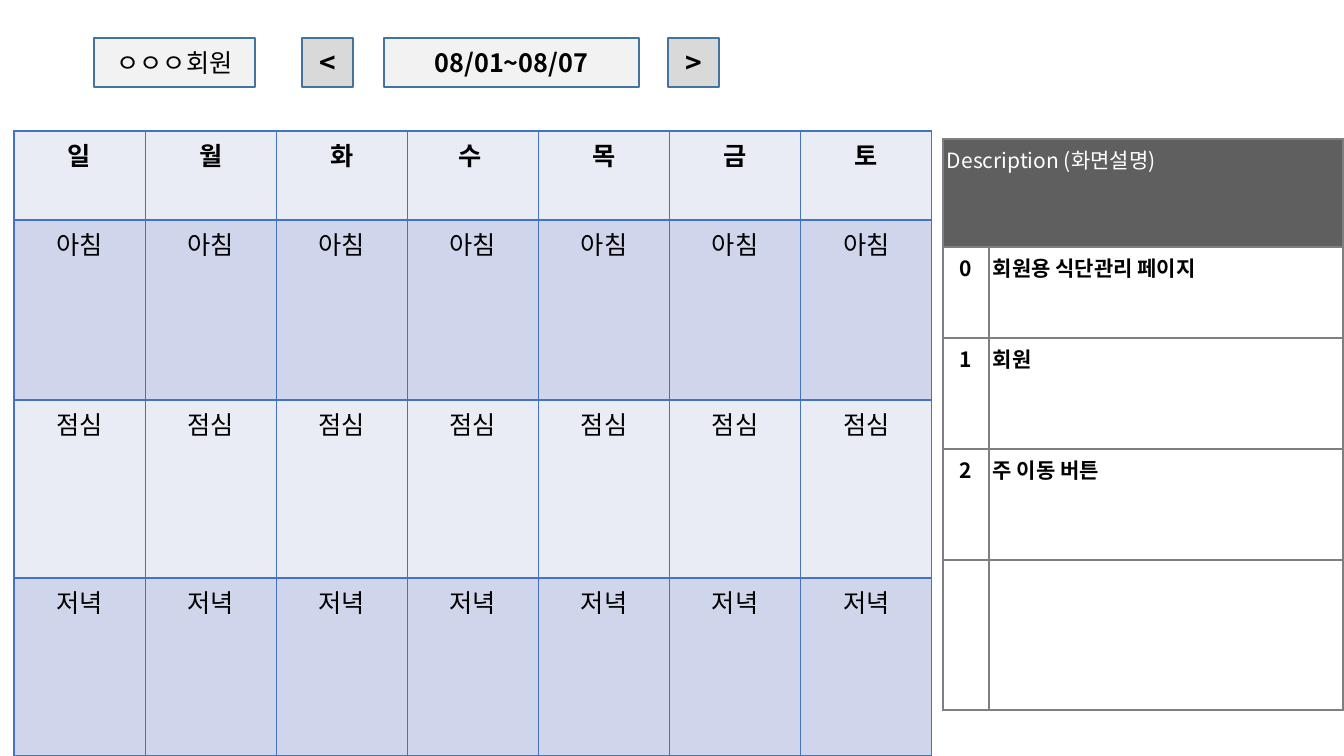
from lxml.etree import SubElement as Sub
from pptx import Presentation
from pptx.dml.color import RGBColor
from pptx.enum.shapes import MSO_SHAPE as Shape
from pptx.enum.text import MSO_ANCHOR as Anchor, PP_ALIGN as Align
from pptx.oxml.ns import qn
from pptx.util import Pt

SCALE = 914400 / 100.8


def px(n):
    return round(n * SCALE)


def color(code):
    return RGBColor.from_string(code)


class Board:
    face = "Noto Sans CJK KR"
    edge = "43739E"

    def __init__(self, deck):
        self.slide = deck.slides.add_slide(deck.slide_layouts[6])

    def label(self, frame, text, size, ink="000000", bold=False, align=Align.CENTER):
        par = frame.paragraphs[0]
        par.alignment = align
        run = par.add_run()
        run.text = text
        style = {"name": self.face, "size": Pt(size), "bold": bold}
        for key, val in style.items():
            setattr(run.font, key, val)
        run.font.color.rgb = color(ink)
        Sub(run.font._element, qn("a:ea"), typeface=self.face)

    def box(self, left, width, text, fill, size=18, bold=True):
        shape = self.slide.shapes.add_shape(
            Shape.RECTANGLE, px(left), px(38), px(width), px(49))
        shape.shadow.inherit = False
        shape.fill.solid()
        shape.fill.fore_color.rgb = color(fill)
        shape.line.color.rgb = color(self.edge)
        shape.line.width = Pt(1)
        shape.text_frame.vertical_anchor = Anchor.MIDDLE
        self.label(shape.text_frame, text, size, bold=bold)

    def table(self, left, top, width, rows, count):
        frame = self.slide.shapes.add_table(
            len(rows), count, px(left), px(top), px(width), px(sum(rows)))
        grid = frame.table
        for key in ("first_row", "horz_banding"):
            setattr(grid, key, False)
        for row, high in zip(grid.rows, rows):
            row.height = px(high)
        return grid

    def cell(self, cell, line, fill=None):
        props = cell._tc.get_or_add_tcPr()
        for side in "LRTB":
            rule = Sub(props, qn(f"a:ln{side}"), w=str(Pt(1)))
            Sub(Sub(rule, qn("a:solidFill")), qn("a:srgbClr"), val=line)
        if fill:
            cell.fill.solid()
            cell.fill.fore_color.rgb = color(fill)
        else:
            cell.fill.background()

    def notes(self, title, items):
        grid = self.table(943, 139, 400, [108, 91, 111, 111, 150], 2)
        for col, wide in zip(grid.columns, (46, 354)):
            col.width = px(wide)
        grid.cell(0, 0).merge(grid.cell(0, 1))
        pads = {"margin_left": 4, "margin_right": 4,
                "margin_top": 5, "margin_bottom": 5}
        for i, row in enumerate(grid.rows):
            for j, cell in enumerate(row.cells):
                fill = "5F5F5F" if i == 0 else None if j else "FFFFFF"
                self.cell(cell, "7F7F7F", fill)
                for key, val in pads.items():
                    setattr(cell, key, px(val))
        self.label(grid.cell(0, 0).text_frame, title, 15, "FFFFFF", align=Align.LEFT)
        for i, item in enumerate(items):
            pair = ((str(i), Align.CENTER), (item, Align.LEFT))
            for j, (text, align) in enumerate(pair):
                self.label(grid.cell(i + 1, j).text_frame, text, 15,
                           bold=True, align=align)

    def week(self, days, meals):
        grid = self.table(14, 131, 918, [89, 180, 178, 178], len(days))
        lines = [days] + [[meal] * len(days) for meal in meals]
        for i, line in enumerate(lines):
            for j, text in enumerate(line):
                cell = grid.cell(i, j)
                self.cell(cell, "4472C4", ("E9EBF5", "CFD5EA")[i % 2])
                self.label(cell.text_frame, text, 18, bold=i == 0)


def main():
    deck = Presentation()
    deck.slide_width, deck.slide_height = px(1344), px(756)
    board = Board(deck)

    # Screen description
    board.notes("Description (화면설명)",
                ["회원용 식단관리 페이지", "회원", "주 이동 버튼"])

    # Weekly meal plan
    board.week(["일", "월", "화", "수 ", "목", "금", "토"],
               ["아침", "점심", "저녁"])

    # Week picker and member name
    board.box(384, 255, "08/01~08/07", "F2F2F2")
    for left, sign in ((302, "<"), (668, ">")):
        board.box(left, 51, sign, "D9D9D9", size=20)
    board.box(94, 161, "ㅇㅇㅇ회원", "F2F2F2", bold=False)

    deck.save("out.pptx")


if __name__ == "__main__":
    main()
